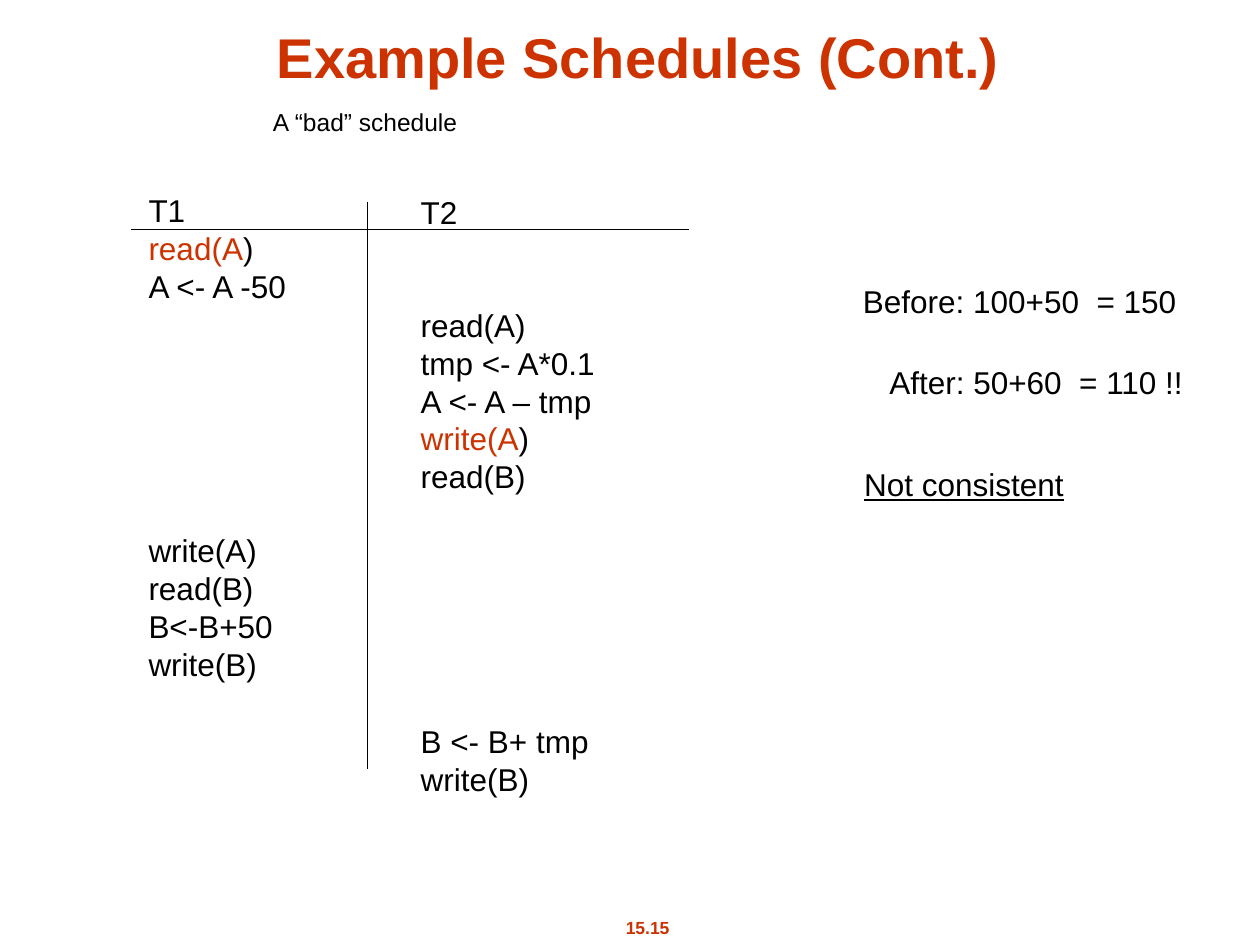
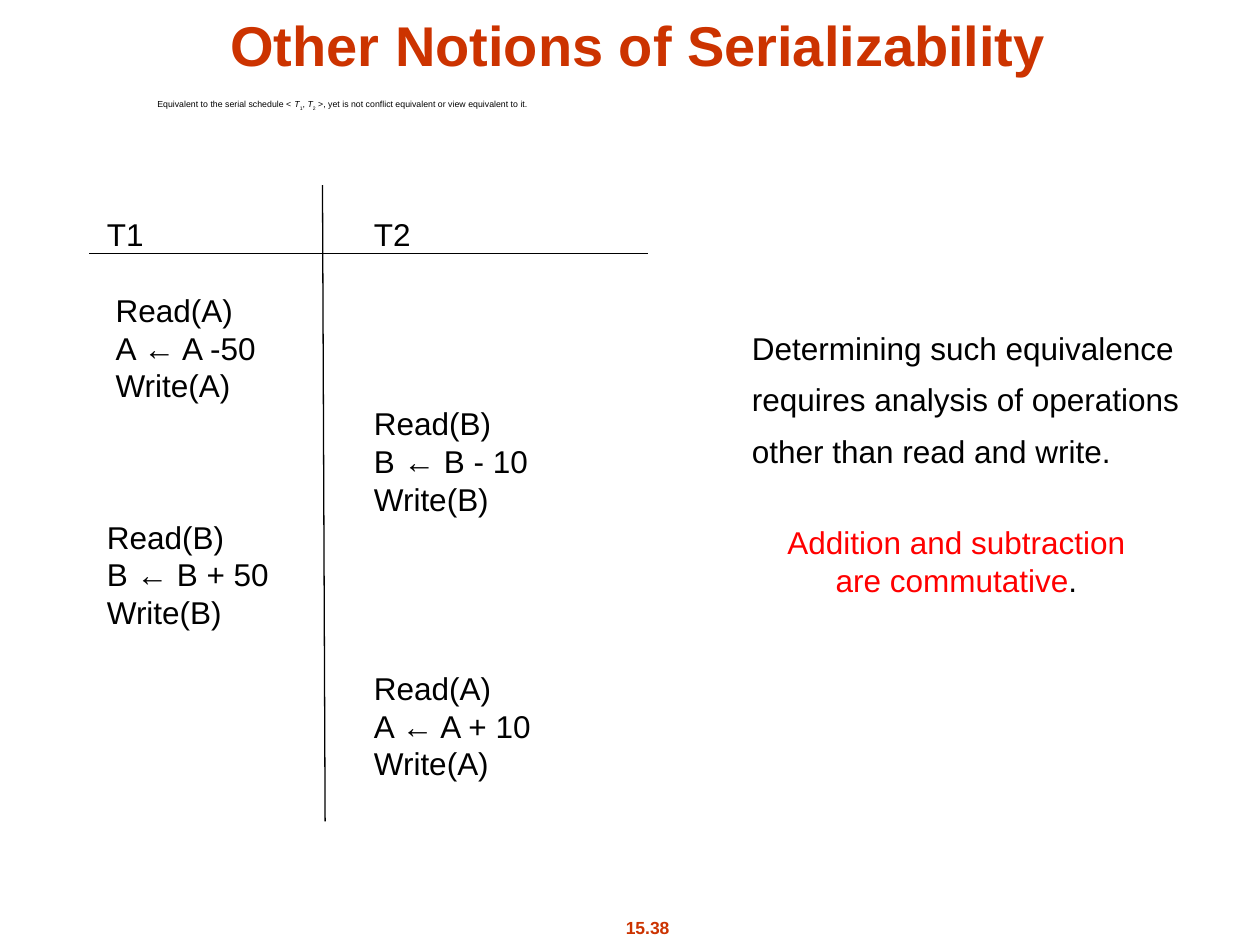
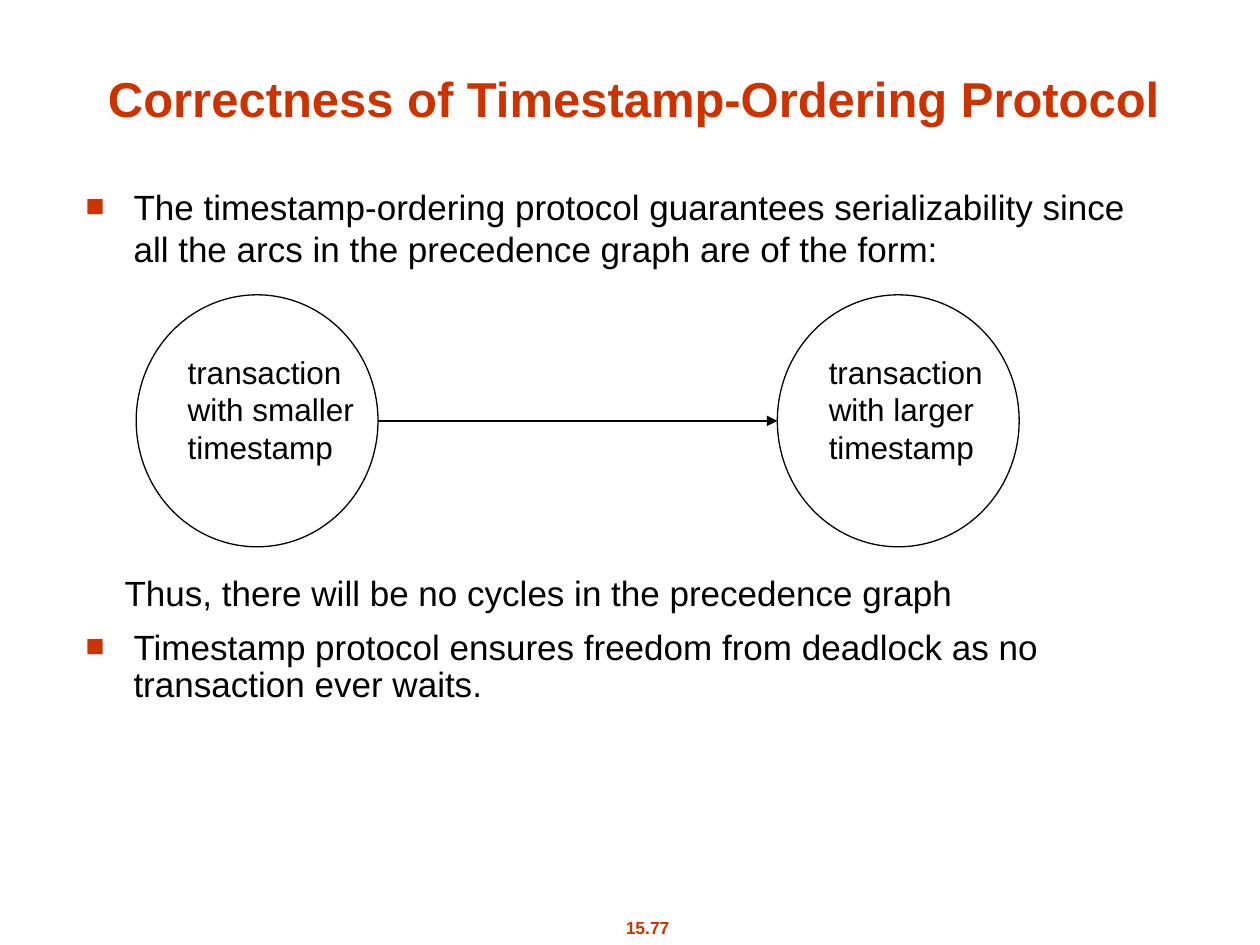
import pptx
import pptx.dml.color
import pptx.enum.shapes
import pptx.enum.text
import pptx.oxml
import pptx.oxml.ns
import pptx.util

Pt = pptx.util.Pt
ALIGN = pptx.enum.text.PP_ALIGN
ANCHOR = pptx.enum.text.MSO_ANCHOR

FONT = "Arial"
ACCENT, INK, RED = "CC3300", "000000", "FF0000"
LEADING = 1.2          # line height as a multiple of the text size
BODY = 18              # size of most text
ROW = BODY * LEADING   # height of one schedule row

# Boxes are (left, top, width, height). A paragraph is a string, or a pair of
# its runs and its format; a run is a string, or a pair of text and format.
# A schedule column is a list of (row, paragraph).
BAD_SCHEDULE = {
    "title": "Example Schedules (Cont.)",
    "title_box": (46.8, 6.5, 635.8, 48.2),
    "page": "15.15",
    "columns": [
        ((77.8, 105.8, 95.8, 288), [
            (0, "T1"), (1, [("read(A", {"color": ACCENT}), ")"]), (2, "A <- A -50"),
            (9, "write(A)"), (10, "read(B)"), (11, "B<-B+50"), (12, "write(B)")]),
        ((233.3, 106.5, 114.5, 352.8), [
            (0, "T2"), (3, "read(A)"), (4, "tmp <- A*0.1"), (5, "A <- A – tmp"),
            (6, [("write(A", {"color": ACCENT}), ")"]), (7, "read(B)"),
            (14, "B <- B+ tmp"), (15, "write(B)")]),
    ],
    "rules": [(74.9, 131, 393.8, 131), (210.2, 115.2, 210.2, 439.2)],
    "texts": [
        ((148.9, 57.6, 300, 28), ["A “bad” schedule"], {"size": 14}),
        ((486, 157.7, 193.7, 28.8), ["Before: 100+50  = 150"], {}),
        ((501.1, 203.8, 183.6, 28.8), ["After: 50+60  = 110 !!"], {}),
        ((486.7, 262.1, 128.2, 28.8), ["Not consistent"], {"underline": True}),
    ],
}

INDENTED = {"margin": 5}
SUBSCRIPT = {"baseline": -25000}
ITALIC = {"italic": True}
OTHER_NOTIONS = {
    "title": "Other Notions of Serializability",
    "title_box": (46.8, 0, 635.8, 48.2),
    "page": "15.38",
    "columns": [
        ((54, 119.5, 106.6, 244.8), [
            (0, "T1"), (2, (["Read(A)"], INDENTED)), (3, (["A ← A -50"], INDENTED)),
            (4, (["Write(A)"], INDENTED)),
            (8, "Read(B)"), (9, "B ← B + 50"), (10, "Write(B)")]),
        ((206.6, 119.5, 106.6, 331.2), [
            (0, "T2"), (5, "Read(B)"), (6, "B ← B - 10"), (7, "Write(B)"),
            (12, "Read(A)"), (13, "A ← A + 10"), (14, "Write(A)")]),
    ],
    "rules": [(51.1, 144.7, 370.1, 144.7), (184.3, 105.8, 185.8, 469.4)],
    "texts": [
        ((82.8, 54, 529.2, 20), [
            ["Equivalent to the serial schedule < ", ("T", ITALIC), ("1", SUBSCRIPT),
             ", ", ("T", ITALIC), ("2", SUBSCRIPT),
             " >, yet is not conflict equivalent or view equivalent to it."]],
         {"size": 5}),
        ((422.6, 184.3, 263.5, 109.4), [
            "Determining such equivalence",
            (["requires analysis of operations"], {"before": 7.9}),
            (["other than read and write."], {"before": 7.9})], {}),
        ((442.8, 295.2, 207.4, 50.4), [
            "Addition and subtraction", ["are commutative", (".", {"color": INK})]],
         {"color": RED, "align": ALIGN.CENTER}),
    ],
}

BULLET = {"bullet": "■", "margin": 27.4}
TIMESTAMPS = {
    "title": "Correctness of Timestamp-Ordering Protocol",
    "title_box": (23, 28.1, 678.2, 48.2),
    "title_size": 28,
    "page": "15.77",
    "texts": [
        ((41.8, 102.2, 620.6, 416.2), [
            (["The timestamp-ordering protocol guarantees serializability since "
              "all the arcs in the precedence graph are of the form:"], BULLET),
            (["Thus, there will be no cycles in the precedence graph"],
             {"margin": 22.3, "before": 173}),
            (["Timestamp protocol ensures freedom from deadlock as no "
              "transaction ever waits."], {**BULLET, "before": 8.8, "leading": 1.08})],
         {"size": 20, "wrap": True}),
    ],
}
TRANSACTIONS = [(77.8, "smaller", 109.4), (444.2, "larger", 102.2)]  # left, age, label width
CIRCLE_TOP, CIRCLE_W, CIRCLE_H = 168.5, 138.2, 144
LABEL_DX, LABEL_DY = 22.3, 29.5


def rgb(color):
    return pptx.dml.color.RGBColor.from_string(color)


def add_xml(parent, xml):
    tag, rest = xml[1:].split(" ", 1)
    parent.append(pptx.oxml.parse_xml(f"<{tag} {pptx.oxml.ns.nsdecls('a')} {rest}"))


def set_runs(paragraph, runs, base):
    for item in runs:
        words, changes = (item, {}) if isinstance(item, str) else item
        style = {**base, **changes}
        run = paragraph.add_run()
        run.text = words
        font = run.font
        font.name, font.size = FONT, Pt(style["size"])
        font.bold, font.italic = style.get("bold", False), style.get("italic", False)
        font.underline = style.get("underline", False)
        font.color.rgb = rgb(style["color"])
        if "baseline" in style:
            font._element.set("baseline", str(style["baseline"]))


def write(frame, paragraphs, wrap=False, anchor=ANCHOR.TOP, **style):
    """Fill a text frame; style holds the format its paragraphs share."""
    frame.word_wrap, frame.vertical_anchor = wrap, anchor
    frame.auto_size = pptx.enum.text.MSO_AUTO_SIZE.NONE
    for index, item in enumerate(paragraphs):
        runs, changes = item if isinstance(item, tuple) else (item, {})
        runs = [runs] if isinstance(runs, str) else runs
        look = {"size": BODY, "color": INK, **style, **changes}
        paragraph = frame.paragraphs[0] if index == 0 else frame.add_paragraph()
        paragraph.alignment = look.get("align", ALIGN.LEFT)
        paragraph.line_spacing = Pt(look["size"] * look.get("leading", LEADING))
        paragraph.space_before = Pt(look.get("before", 0))
        properties = paragraph._p.get_or_add_pPr()
        margin = Pt(look.get("margin", 0))
        properties.set("marL", str(margin))
        if "bullet" in look:
            properties.set("indent", str(-margin))
            add_xml(properties, f'<a:buClr ><a:srgbClr val="{ACCENT}"/></a:buClr>')
            add_xml(properties, '<a:buSzPct val="90000"/>')
            add_xml(properties, f'<a:buFont typeface="{FONT}"/>')
            add_xml(properties, f'<a:buChar char="{look["bullet"]}"/>')
        set_runs(paragraph, runs, look)


def add_text(slide, box, paragraphs, **style):
    write(slide.shapes.add_textbox(*map(Pt, box)).text_frame, paragraphs, **style)


def add_column(slide, box, entries):
    """Put each entry on its schedule row, spacing over the rows left free."""
    paragraphs, next_row = [], 0
    for row, entry in entries:
        runs, changes = entry if isinstance(entry, tuple) else (entry, {})
        paragraphs.append((runs, {**changes, "before": (row - next_row) * ROW}))
        next_row = row + 1
    add_text(slide, box, paragraphs)


def add_rule(slide, ends, arrow=False):
    rule = slide.shapes.add_connector(
        pptx.enum.shapes.MSO_CONNECTOR.STRAIGHT, *map(Pt, ends))
    rule.line.color.rgb, rule.line.width = rgb(INK), Pt(0.75)
    if arrow:
        add_xml(rule.line._get_or_add_ln(), '<a:tailEnd type="triangle"/>')
    add_xml(rule._element.spPr, "<a:effectLst />")


def add_slide(deck, content):
    slide = deck.slides.add_slide(deck.slide_layouts[5])
    title = slide.shapes.title
    title.left, title.top, title.width, title.height = map(Pt, content["title_box"])
    write(title.text_frame, [content["title"]], wrap=True, anchor=ANCHOR.BOTTOM,
          size=content.get("title_size", 32), color=ACCENT, bold=True, align=ALIGN.CENTER)
    add_text(slide, (331.9, 520.6, 76.3, 19.4), [content["page"]],
             size=10, color=ACCENT, bold=True, align=ALIGN.CENTER)
    for box, paragraphs, style in content["texts"]:
        add_text(slide, box, paragraphs, **style)
    for box, entries in content.get("columns", []):
        add_column(slide, box, entries)
    for ends in content.get("rules", []):
        add_rule(slide, ends)
    return slide


def add_precedence_arc(slide):
    for left, age, label_width in TRANSACTIONS:
        circle = slide.shapes.add_shape(
            pptx.enum.shapes.MSO_SHAPE.OVAL,
            *map(Pt, (left, CIRCLE_TOP, CIRCLE_W, CIRCLE_H)))
        circle.shadow.inherit = False
        circle.fill.background()
        circle.line.color.rgb, circle.line.width = rgb(INK), Pt(0.75)
        add_text(slide, (left + LABEL_DX, CIRCLE_TOP + LABEL_DY, label_width, 72),
                 ["transaction", f"with {age}", "timestamp"])
    middle = CIRCLE_TOP + CIRCLE_H / 2
    start, end = TRANSACTIONS[0][0] + CIRCLE_W, TRANSACTIONS[1][0]
    add_rule(slide, (start, middle, end, middle), arrow=True)


def main():
    deck = pptx.Presentation()
    deck.slide_width, deck.slide_height = Pt(720), Pt(540)
    add_slide(deck, BAD_SCHEDULE)
    add_slide(deck, OTHER_NOTIONS)
    add_precedence_arc(add_slide(deck, TIMESTAMPS))
    deck.save("out.pptx")


if __name__ == "__main__":
    main()
